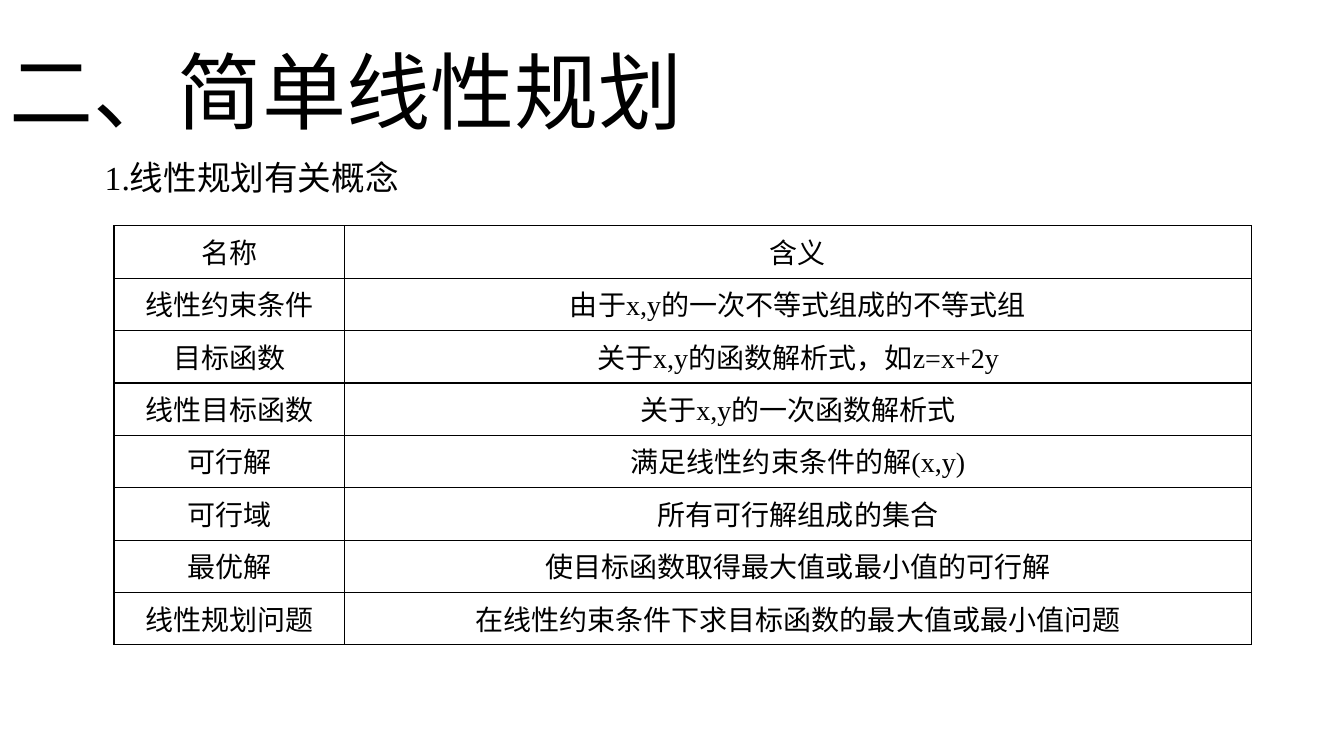
from lxml import etree
from pptx import Presentation
from pptx.dml.color import RGBColor
from pptx.enum import text
from pptx.oxml import ns
from pptx.util import Inches, Pt

COLOURS = {"ink": "000000", "paper": "FFFFFF"}

TITLE = {"size": Pt(60), "name": "Calibri"}
SUBTITLE = {"size": Pt(24), "name": "Times New Roman"}
CELL = {"size": Pt(20), "name": "Times New Roman"}

CONCEPTS = [
    ("名称", "含义"),
    ("线性约束条件", "由于x,y的一次不等式组成的不等式组"),
    ("目标函数", "关于x,y的函数解析式，如z=x+2y"),
    ("线性目标函数", "关于x,y的一次函数解析式"),
    ("可行解", "满足线性约束条件的解(x,y)"),
    ("可行域", "所有可行解组成的集合"),
    ("最优解", "使目标函数取得最大值或最小值的可行解"),
    ("线性规划问题", "在线性约束条件下求目标函数的最大值或最小值问题"),
]
COLUMN_WIDTHS = (2.29, 8.99)
ROW_HEIGHT = 0.52


def set_values(target, values):
    """Set each attribute of target named in values."""
    for name, value in values.items():
        setattr(target, name, value)


def write(frame, words, font, layout):
    """Write one formatted paragraph into a text frame."""
    paragraph = frame.paragraphs[0]
    set_values(paragraph, layout)
    run = paragraph.add_run()
    run.text = words
    set_values(run.font, font)
    run.font.color.rgb = RGBColor.from_string(COLOURS["ink"])


def add_text(slide, box, words, font, layout, anchor):
    """Add a wrapped text box at box (left, top, width, height)."""
    shape = slide.shapes.add_textbox(*map(Inches, box))
    set_values(shape.text_frame, {"word_wrap": True, "vertical_anchor": anchor})
    write(shape.text_frame, words, font, layout)


def add_borders(cell):
    """Draw a thin line on all four sides of a cell."""
    properties = cell._tc.get_or_add_tcPr()
    for index, side in enumerate(("lnL", "lnR", "lnT", "lnB")):
        line = etree.Element(ns.qn(f"a:{side}"), w=str(Pt(1)))
        fill = etree.SubElement(line, ns.qn("a:solidFill"))
        etree.SubElement(fill, ns.qn("a:srgbClr"), val=COLOURS["ink"])
        properties.insert(index, line)


def add_concept_table(slide, left, top):
    """Add the bordered table of concept names and meanings."""
    frame = slide.shapes.add_table(
        len(CONCEPTS), len(COLUMN_WIDTHS), Inches(left), Inches(top),
        Inches(sum(COLUMN_WIDTHS)), Inches(ROW_HEIGHT * len(CONCEPTS)))
    table = frame.table
    set_values(table, {"first_row": False, "horz_banding": False})
    for column, width in zip(table.columns, COLUMN_WIDTHS):
        column.width = Inches(width)
    for row, concept in zip(table.rows, CONCEPTS):
        row.height = Inches(ROW_HEIGHT)
        for cell, words in zip(row.cells, concept):
            cell.fill.solid()
            cell.fill.fore_color.rgb = RGBColor.from_string(COLOURS["paper"])
            write(cell.text_frame, words, CELL,
                  {"alignment": text.PP_ALIGN.CENTER})
            add_borders(cell)


def main():
    """Build the slide on linear programming concepts and save it."""
    presentation = Presentation()
    set_values(presentation, {"slide_width": Inches(13.33),
                              "slide_height": Inches(7.5)})
    slide = presentation.slides.add_slide(presentation.slide_layouts[6])
    add_text(slide, (0, 0, 10.18, 1.45), "二、简单线性规划", TITLE,
             {"line_spacing": 0.9}, text.MSO_ANCHOR.BOTTOM)
    add_text(slide, (0.94, 1.55, 11.22, 0.58), "1.线性规划有关概念", SUBTITLE,
             {"line_spacing": 0.9, "space_before": Pt(10)},
             text.MSO_ANCHOR.TOP)
    add_concept_table(slide, 1.13, 2.24)
    presentation.save("out.pptx")


main()
